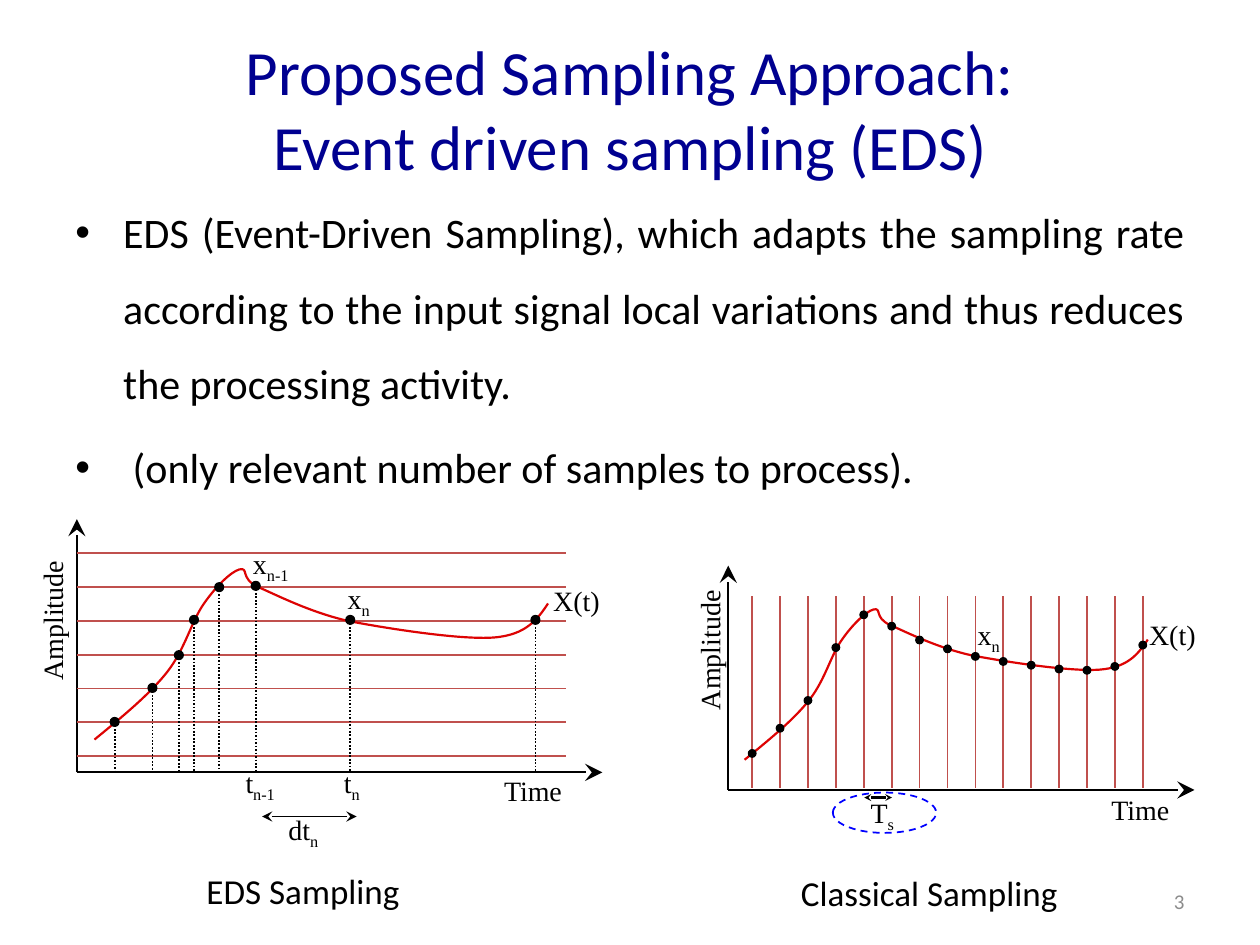
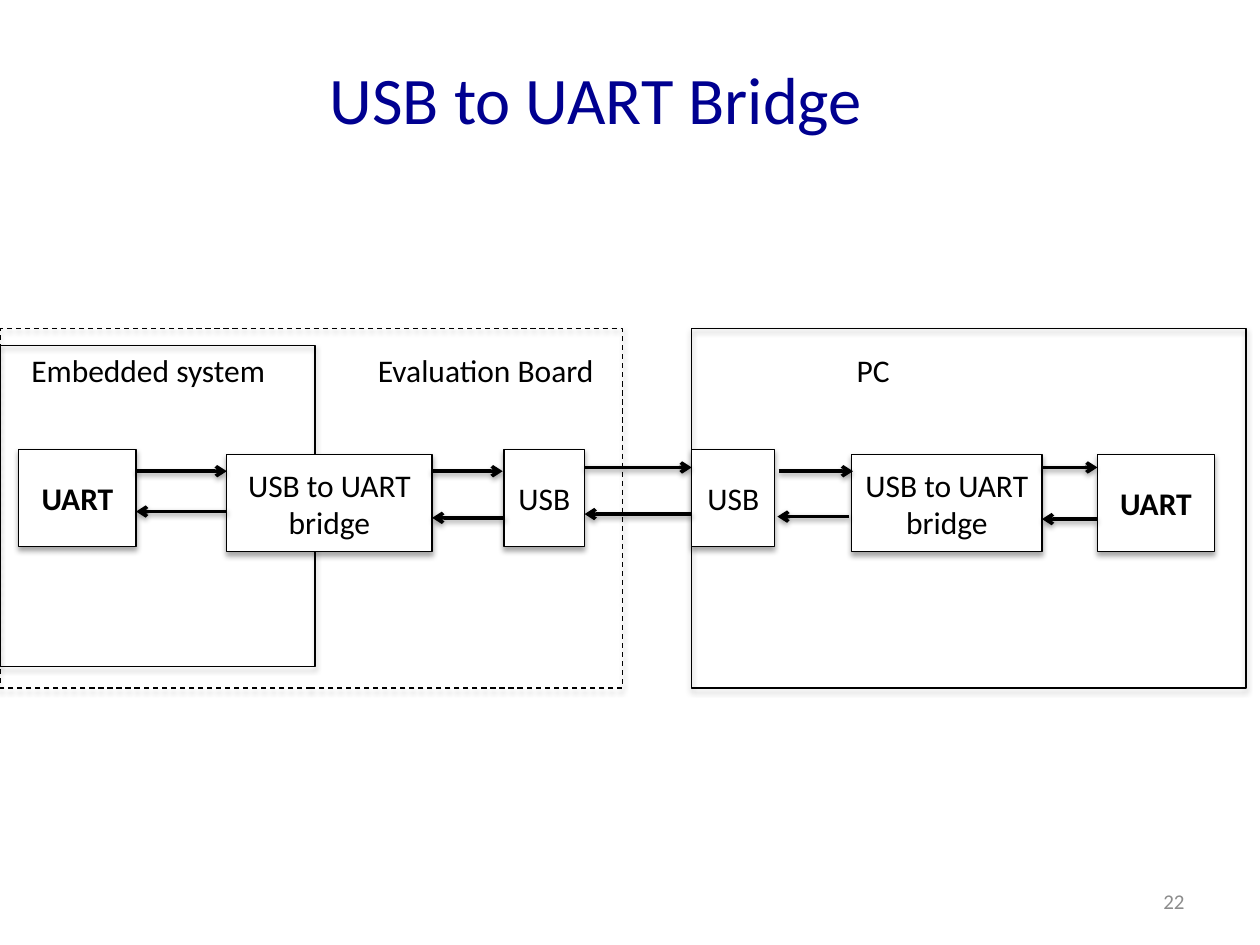
from dataclasses import dataclass, field
from typing import Any, NamedTuple

import pptx
import pptx.util
from lxml import etree
from pptx.dml.color import RGBColor
from pptx.enum.dml import MSO_LINE
from pptx.enum.shapes import MSO_CONNECTOR, MSO_SHAPE
from pptx.enum.text import MSO_ANCHOR, PP_ALIGN
from pptx.oxml.ns import qn

Point = tuple[float, float]
Box = tuple[float, float, float, float]


@dataclass(frozen=True)
class Theme:
    black: str = "000000"
    white: str = "FFFFFF"
    title: str = "000090"
    number: str = "8C8C8C"
    level: str = "C0504D"
    signal: str = "DD0303"
    highlight: str = "0000FF"
    sans: str = "Calibri"
    serif: str = "Times New Roman"
    body_size: int = 24
    caption_size: int = 20
    box_size: int = 18
    plot_size: int = 16
    number_size: int = 12
    thin: float = 0.75
    grid: float = 1
    axis: float = 1.25
    link: float = 2


T = Theme()


class Label(NamedTuple):
    """Text in a box; an underscore starts a subscript."""
    text: str
    box: Box
    inset: bool = True
    wrap: bool = True
    rotation: int = 0


class Block(NamedTuple):
    text: str
    box: Box
    bold: bool = False


class Arrow(NamedTuple):
    start: Point
    end: Point


@dataclass(frozen=True)
class Plot:
    origin: Point
    time_end: float
    amplitude_top: float
    curve_box: Box
    dot: float
    samples: list[Point]
    labels: list[Label] = field(default_factory=list)


# Signal as Bezier points on a 3.6 by 1.37 field
SIGNAL = [(0, 1.37), (0.22, 1.19), (0.44, 1.01), (0.58, 0.83), (0.72, 0.65), (0.77, 0.43),
          (0.87, 0.29), (0.96, 0.16), (1.08, 0.04), (1.15, 0.02), (1.23, 0), (1.15, 0.09),
          (1.3, 0.16), (1.44, 0.22), (1.71, 0.36), (2.02, 0.43), (2.33, 0.49), (2.91, 0.58),
          (3.17, 0.56), (3.43, 0.54), (3.52, 0.41), (3.6, 0.29)]
SIGNAL_SIZE = (3.6, 1.37)

EVENT_PLOT = Plot(
    (0.61, 6.13), 4.78, 4.12, (0.75, 4.5, 3.6, 1.37), 0.07,
    [(0.91, 5.73), (1.21, 5.46), (1.42, 5.2), (1.54, 4.92),
     (1.74, 4.66), (2.03, 4.65), (2.78, 4.92), (4.25, 4.92)],
    [Label("Amplitude", (-0.17, 4.7, 1.15, 0.25), inset=False, rotation=270),
     Label("x_n-1", (1.91, 4.29, 0.67, 0.43)),
     Label("x_n", (2.66, 4.57, 0.68, 0.43)),
     Label("dt_n", (2.19, 6.4, 0.68, 0.43)),
     Label("Time", (4, 6.14, 0.65, 0.32), inset=False),
     Label("X(t)", (4.39, 4.63, 0.48, 0.44), inset=False),
     Label("t_n", (2.63, 6.03, 0.41, 0.37)),
     Label("t_n-1", (1.85, 6.03, 0.55, 0.37))])

LEVELS = [6 - 0.268 * i for i in range(7)]
CLOCK = [5.97 + 3.1 / 14 * i for i in range(15)]
CLOCKED_VALUES = [5.98, 5.78, 5.56, 5.14, 4.88, 4.97, 5.08, 5.15,
                  5.21, 5.25, 5.28, 5.31, 5.32, 5.29, 5.12]

CLASSICAL_PLOT = Plot(
    (5.78, 6.27), 9.48, 4.49, (5.91, 4.82, 3.2, 1.21), 0.06,
    list(zip(CLOCK, CLOCKED_VALUES)),
    [Label("X(t)", (9.12, 4.9, 0.38, 0.38), inset=False),
     Label("Time", (8.82, 6.29, 0.57, 0.28), inset=False),
     Label("Amplitude", (5.1, 5.02, 1.01, 0.22), inset=False, rotation=270),
     Label("x_n", (7.66, 4.85, 0.39, 0.37), wrap=False),
     Label("T_s", (6.91, 6.31, 0.63, 0.28), inset=False)])

BLOCKS = [
    Block("UART", (0.15, 3.57, 0.93, 0.77), True),
    Block("USB to UART bridge", (1.8, 3.61, 1.63, 0.77)),
    Block("USB", (4, 3.57, 0.64, 0.77)),
    Block("USB", (5.49, 3.57, 0.66, 0.77)),
    Block("USB to UART bridge", (6.76, 3.61, 1.51, 0.77)),
    Block("UART", (8.71, 3.61, 0.93, 0.77), True)]
FRAMES = [((0, 2.61, 4.94, 2.85), MSO_LINE.DASH),
          ((0, 2.74, 2.5, 2.55), None),
          ((5.49, 2.61, 4.4, 2.85), None)]
FRAME_NAMES = [Label("Embedded system", (0.15, 2.74, 2.06, 0.4)),
               Label("Evaluation Board", (2.9, 2.74, 1.92, 0.4)),
               Label("PC", (6.7, 2.74, 0.46, 0.4))]
LINKS = [Arrow((1.08, 3.74), (1.8, 3.74)), Arrow((1.8, 4.06), (1.08, 4.06)),
         Arrow((3.43, 3.74), (3.99, 3.74)), Arrow((4.01, 4.11), (3.43, 4.11)),
         Arrow((4.64, 3.71), (5.49, 3.71)), Arrow((5.49, 4.08), (4.64, 4.08)),
         Arrow((6.18, 3.74), (6.77, 3.74)), Arrow((6.74, 4.1), (6.17, 4.1)),
         Arrow((8.27, 3.71), (8.71, 3.71)), Arrow((8.71, 4.12), (8.27, 4.12))]


def unit(n: float) -> pptx.util.Length:
    """Length of n grid units; the slide is 10 by 7.5 units."""
    return pptx.util.Cm(2.54 * n)


def units(values: tuple[float, ...]) -> list[pptx.util.Length]:
    return [unit(v) for v in values]


def rgb(color: str) -> RGBColor:
    return RGBColor.from_string(color)


def apply(target: Any, values: dict[str, Any]) -> None:
    for name, value in values.items():
        setattr(target, name, value)


def add_runs(p: Any, text: str, size: float, color: str, font: str, bold: bool = False) -> None:
    for i, line in enumerate(text.split("\n")):
        if i:
            p.add_line_break()
        for part, piece in enumerate(line.split("_")):
            r = p.add_run()
            r.text = piece
            apply(r.font, {"size": pptx.util.Pt(size), "name": font, "bold": bold})
            r.font.color.rgb = rgb(color)
            if part:
                r.font._element.set("baseline", "-25000")


def add_text(s: Any, label: Label, size: float, color: str = T.black, font: str = T.sans,
             align: Any = PP_ALIGN.LEFT, anchor: Any = MSO_ANCHOR.TOP) -> None:
    sp = s.shapes.add_textbox(*units(label.box))
    sp.rotation = label.rotation
    tf = sp.text_frame
    apply(tf, {"word_wrap": label.wrap, "vertical_anchor": anchor})
    if not label.inset:
        apply(tf, dict.fromkeys(
            ("margin_left", "margin_right", "margin_top", "margin_bottom"), 0))
    tf.paragraphs[0].alignment = align
    add_runs(tf.paragraphs[0], label.text, size, color, font)


def set_line(sp: Any, color: str, width: float, dash: Any = None) -> None:
    sp.line.color.rgb = rgb(color)
    apply(sp.line, {"width": pptx.util.Pt(width), "dash_style": dash})


def soften(effects: Any, opacity: int, distance: int) -> None:
    """Put a soft downward shadow into an effect list."""
    shadow = etree.SubElement(effects, qn("a:outerShdw"), blurRad="40000",
                              dist=str(distance), dir="5400000", rotWithShape="0")
    color = etree.SubElement(shadow, qn("a:srgbClr"), val=T.black)
    etree.SubElement(color, qn("a:alpha"), val=str(opacity * 1000))


def add_line(s: Any, start: Point, end: Point, color: str = T.black, width: float = T.grid,
             dash: Any = None, head: str = "", tail: str = "", tip: str = "med") -> Any:
    """Draw a line and return its effect list."""
    cx = s.shapes.add_connector(MSO_CONNECTOR.STRAIGHT, *units(start + end))
    set_line(cx, color, width, dash)
    ln = cx.line._get_or_add_ln()
    for tag, kind in (("a:headEnd", head), ("a:tailEnd", tail)):
        if kind:
            etree.SubElement(ln, qn(tag), type=kind, w=tip, len=tip)
    return etree.SubElement(cx._element.spPr, qn("a:effectLst"))


def add_shape(s: Any, kind: Any, box: Box, fill: str = "", color: str = T.black,
              width: float = T.thin, dash: Any = None) -> Any:
    sp = s.shapes.add_shape(kind, *units(box))
    if fill:
        sp.fill.solid()
        sp.fill.fore_color.rgb = rgb(fill)
    else:
        sp.fill.background()
    set_line(sp, color, width, dash)
    sp.shadow.inherit = False
    return sp


def add_panel(s: Any, box: Box, fill: str = "", dash: Any = None) -> Any:
    sp = add_shape(s, MSO_SHAPE.RECTANGLE, box, fill, dash=dash)
    soften(sp._element.spPr.find(qn("a:effectLst")), 35, 23000)
    return sp


def curve_segments(sp: Any) -> None:
    """Turn every three line segments of a freeform into one cubic Bezier segment."""
    segments = list(sp._element.iter(qn("a:lnTo")))
    outline = segments[0].getparent()
    for k in range(0, len(segments), 3):
        curve = etree.SubElement(outline, qn("a:cubicBezTo"))
        for segment in segments[k:k + 3]:
            curve.append(segment[0])
            outline.remove(segment)


def add_signal(s: Any, box: Box) -> None:
    left, top, width, height = box
    points = [units((left + x * width / SIGNAL_SIZE[0], top + y * height / SIGNAL_SIZE[1]))
              for x, y in SIGNAL]
    builder = s.shapes.build_freeform(*points[0])
    builder.add_line_segments(points[1:], close=False)
    sp = builder.convert_to_shape()
    curve_segments(sp)
    sp.fill.background()
    set_line(sp, T.signal, T.axis)
    sp.shadow.inherit = False


def add_plot(s: Any, plot: Plot, grid: list[Arrow], drops: bool = False) -> None:
    x0, y0 = plot.origin
    for end in ((plot.time_end, y0), (x0, plot.amplitude_top)):
        add_line(s, plot.origin, end, width=T.axis, tail="stealth", tip="lg")
    for start, end in grid:
        add_line(s, start, end, T.level)
    add_signal(s, plot.curve_box)
    if drops:
        for x, y in plot.samples:
            add_line(s, (x, y), (x, y0), dash=MSO_LINE.ROUND_DOT)
    for x, y in plot.samples:
        add_shape(s, MSO_SHAPE.OVAL,
                  (x - plot.dot / 2, y - plot.dot / 2, plot.dot, plot.dot), T.black)
    for label in plot.labels:
        add_text(s, label, T.plot_size, font=T.serif)


def add_slide(prs: Any, title: Label, title_size: float, number: int) -> Any:
    s = prs.slides.add_slide(prs.slide_layouts[6])
    add_text(s, title, title_size, T.title, align=PP_ALIGN.CENTER, anchor=MSO_ANCHOR.MIDDLE)
    add_text(s, Label(str(number), (7.17, 6.95, 2.33, 0.4)), T.number_size, T.number,
             align=PP_ALIGN.RIGHT, anchor=MSO_ANCHOR.MIDDLE)
    return s


def add_bullets(s: Any, box: Box, items: list[str]) -> None:
    tf = s.shapes.add_textbox(*units(box)).text_frame
    tf.word_wrap = True
    for i, item in enumerate(items):
        p = tf.add_paragraph() if i else tf.paragraphs[0]
        apply(p, {"alignment": PP_ALIGN.JUSTIFY, "line_spacing": 1.5,
                  "space_before": pptx.util.Pt(0.2 * T.body_size)})
        pPr = p._p.get_or_add_pPr()
        pPr.set("marL", str(unit(0.38)))
        pPr.set("indent", str(-unit(0.38)))
        etree.SubElement(pPr, qn("a:buFont"), typeface="Arial")
        etree.SubElement(pPr, qn("a:buChar"), char="•")
        add_runs(p, item, T.body_size, T.black, T.sans)


def sampling_slide(prs: Any) -> None:
    s = add_slide(prs, Label("Proposed Sampling Approach:\nEvent driven sampling (EDS)",
                             (0.5, 0.23, 9, 1.25)), 36, 3)
    add_bullets(s, (0.5, 1.39, 9, 4.95), [
        "EDS (Event-Driven Sampling), which adapts the sampling rate according to the "
        "input signal local variations and thus reduces the processing activity.",
        " (only relevant number of samples to process)."])
    add_plot(s, EVENT_PLOT, [Arrow((0.61, y), (4.49, y)) for y in LEVELS], drops=True)
    add_plot(s, CLASSICAL_PLOT, [Arrow((x, 6.25), (x, 4.73)) for x in CLOCK])
    for x1, x2, y, width, tip in ((2.08, 2.83, 6.48, T.thin, "med"),
                                  (6.86, 7.08, 6.33, T.axis, "sm")):
        add_line(s, (x1, y), (x2, y), width=width, head="stealth", tail="stealth", tip=tip)
    add_shape(s, MSO_SHAPE.OVAL, (6.61, 6.29, 0.82, 0.32), color=T.highlight,
              width=T.grid, dash=MSO_LINE.DASH)
    for caption in (Label("EDS Sampling", (0.99, 6.85, 2.83, 0.44)),
                    Label("Classical Sampling", (5.96, 6.87, 2.83, 0.44))):
        add_text(s, caption, T.caption_size, align=PP_ALIGN.CENTER)


def bridge_slide(prs: Any) -> None:
    s = add_slide(prs, Label("USB to UART Bridge ", (0.64, 0.56, 8.3, 0.44)), 38, 22)
    for box, dash in FRAMES:
        add_panel(s, box, dash=dash)
    for block in BLOCKS:
        tf = add_panel(s, block.box, T.white).text_frame
        apply(tf, {"word_wrap": True, "vertical_anchor": MSO_ANCHOR.MIDDLE})
        tf.paragraphs[0].alignment = PP_ALIGN.CENTER
        add_runs(tf.paragraphs[0], block.text, T.box_size, T.black, T.sans, block.bold)
    for start, end in LINKS:
        soften(add_line(s, start, end, width=T.link, tail="arrow"), 38, 20000)
    for name in FRAME_NAMES:
        add_text(s, name, T.box_size)


def main() -> None:
    prs = pptx.Presentation()
    apply(prs, {"slide_width": unit(10), "slide_height": unit(7.5)})
    sampling_slide(prs)
    bridge_slide(prs)
    prs.save("out.pptx")


if __name__ == "__main__":
    main()
